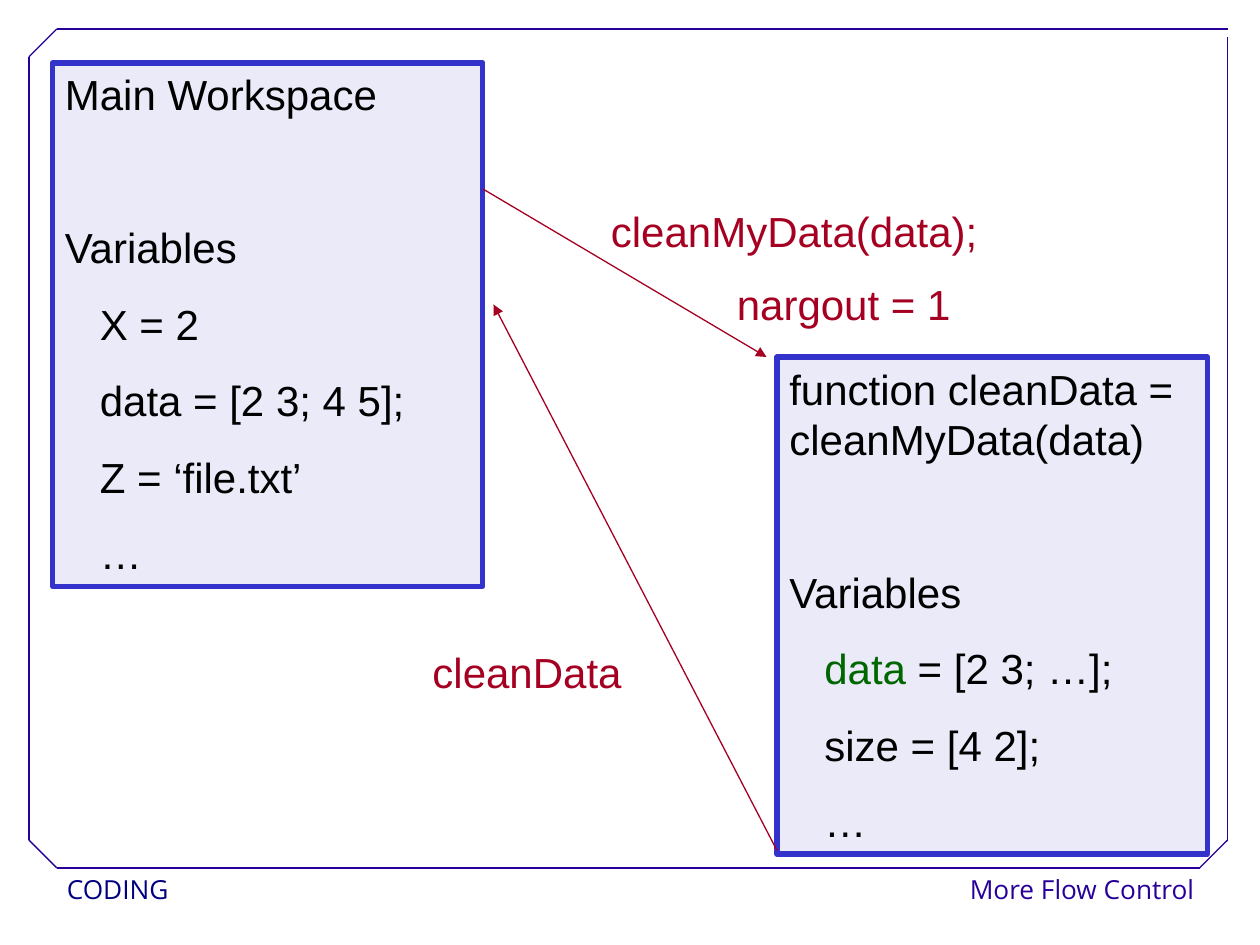
from lxml import etree
from pptx import Presentation
from pptx.dml.color import RGBColor
from pptx.enum import shapes, text
from pptx.oxml.ns import qn
from pptx.util import Pt

THEME = {
    "page": RGBColor(0xFF, 0xFF, 0xFF), "frame": RGBColor(0x28, 0x00, 0x99),
    "course": RGBColor(0x00, 0x00, 0x80), "workspace": RGBColor(0x33, 0x33, 0xCC),
    "code": RGBColor(0, 0, 0), "call": RGBColor(0xA5, 0x00, 0x21),
    "argument": RGBColor(0x00, 0x66, 0x00),
    "code_font": "Arial", "code_size": Pt(24),
    "footer_font": "Open Sans", "footer_size": Pt(15),
}
LINE_HEIGHT, GAP, INDENT = 28.7, 15, 20

prs = Presentation()
prs.slide_width, prs.slide_height = Pt(720), Pt(540)
slide = prs.slides.add_slide(prs.slide_layouts[6])


def add_line(start, end, color, arrow=False):
    line = slide.shapes.add_connector(
        shapes.MSO_CONNECTOR.STRAIGHT, *(Pt(v) for v in start + end))
    line.line.color.rgb = color
    line.line.width = Pt(0.75)
    if arrow:
        etree.SubElement(line.line._get_or_add_ln(), qn("a:tailEnd"), type="triangle")
    etree.SubElement(line._element.spPr, qn("a:effectLst"))


def write(shape, rows, kind, align=text.PP_ALIGN.LEFT, wrap=True, insets=(7.2, 3.6)):
    """Each row is (space before, indent, [(words, color), ...])."""
    frame = shape.text_frame
    side, edge = (Pt(v) for v in insets)
    layout = {"word_wrap": wrap, "auto_size": text.MSO_AUTO_SIZE.NONE,
              "vertical_anchor": text.MSO_ANCHOR.TOP,
              "margin_left": side, "margin_right": side,
              "margin_top": edge, "margin_bottom": edge}
    for name, value in layout.items():
        setattr(frame, name, value)
    for number, (before, indent, runs) in enumerate(rows):
        paragraph = frame.add_paragraph() if number else frame.paragraphs[0]
        paragraph.alignment = align
        if kind == "code":
            paragraph.line_spacing = Pt(LINE_HEIGHT)
        if before:
            paragraph.space_before = Pt(before)
        if indent:
            paragraph._p.get_or_add_pPr().set("marL", str(Pt(indent)))
        for words, color in runs:
            run = paragraph.add_run()
            run.text = words
            run.font.name = THEME[kind + "_font"]
            run.font.size = THEME[kind + "_size"]
            run.font.color.rgb = THEME[color]


# Footer
footers = [("CODING", "course", 31.7, 140.4, text.PP_ALIGN.LEFT),
           ("More Flow Control", "frame", 597.6, 91.4, text.PP_ALIGN.RIGHT)]
for words, color, left, width, align in footers:
    footer = slide.shapes.add_textbox(Pt(left), Pt(496), Pt(width), Pt(26.6))
    footer.fill.solid()
    footer.fill.fore_color.rgb = THEME["page"]
    write(footer, [(0, 0, [(words, color)])], "footer", align, False, (6.5, 2.9))

# Frame with three cut corners
left, top, right, bottom, cut = 16.5, 16.5, 701.5, 496, 16
frame_lines = [
    ((left + cut, bottom), (right - cut, bottom)),
    ((left, bottom - cut), (left, top + cut)),
    ((left + cut, top), (right, top)),
    ((right, bottom - cut), (right, 21)),
    ((left, top + cut), (left + cut, top)),
    ((right - cut, bottom), (right, bottom - cut)),
    ((left, bottom - cut), (left + cut, bottom)),
]
for start, end in frame_lines:
    add_line(start, end, THEME["frame"])

# Workspaces: heading, one line's gap, then the variables
workspaces = [
    ((30, 36, 246, 299), "Main Workspace",
     [[("X = 2", "code")], [("data = [2 3; 4 5];", "code")],
      [("Z = ‘file.txt’", "code")], [("…", "code")]]),
    ((444, 204, 246, 284), "function cleanData = cleanMyData(data)",
     [[("data", "argument"), (" = [2 3; …];", "code")],
      [("size = [4 2];", "code")], [("…", "code")]]),
]
for place, heading, variables in workspaces:
    workspace = slide.shapes.add_shape(
        shapes.MSO_SHAPE.RECTANGLE, *(Pt(v) for v in place))
    workspace.shadow.inherit = False
    workspace.fill.solid()
    workspace.fill.fore_color.rgb = THEME["workspace"]
    tint = workspace._element.spPr.find(qn("a:solidFill"))[0]
    etree.SubElement(tint, qn("a:alpha"), val="10000")
    workspace.line.color.rgb = THEME["workspace"]
    workspace.line.width = Pt(3)
    rows = [(0, 0, [(heading, "code")]),
            (2 * GAP + LINE_HEIGHT, 0, [("Variables", "code")])]
    rows += [(GAP, INDENT, runs) for runs in variables]
    write(workspace, rows, "code")

# Call and return arrows
add_line((276, 108), (438, 204), THEME["call"], arrow=True)
add_line((444, 486), (282, 174), THEME["call"], arrow=True)

# Arrow labels
labels = [("cleanMyData(data);", 342, 114, 252),
          ("cleanData", 240, 366, 132),
          ("nargout = 1", 414, 156, 252)]
for words, left, top, width in labels:
    label = slide.shapes.add_textbox(Pt(left), Pt(top), Pt(width), Pt(36))
    write(label, [(0, 0, [(words, "call")])], "code")

prs.save("out.pptx")
